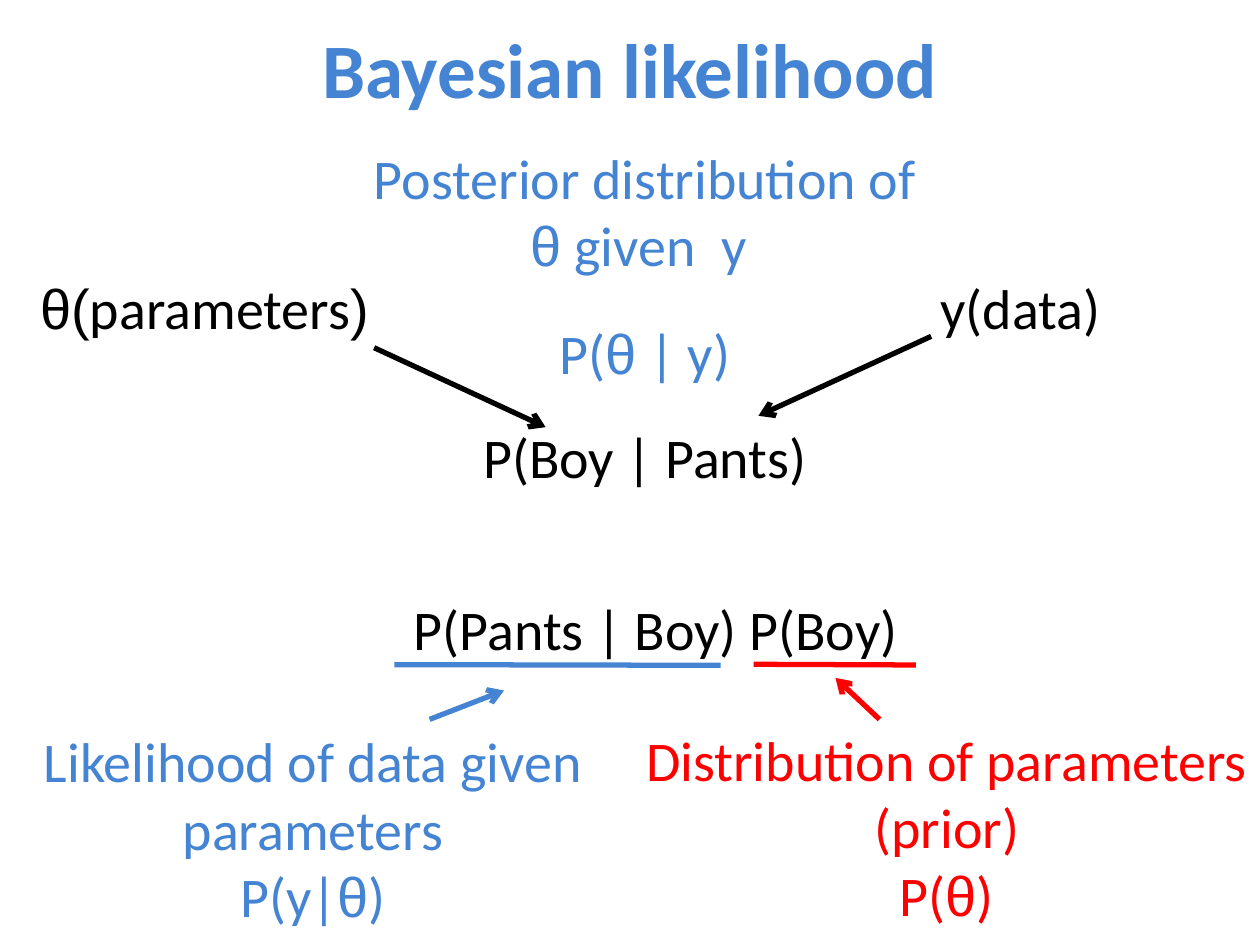
import pptx
import pptx.dml.color
import pptx.enum.shapes
import pptx.enum.text
import pptx.oxml.ns
import pptx.util
from lxml import etree

Pt = pptx.util.Pt
RGBColor = pptx.dml.color.RGBColor
ALIGN = pptx.enum.text.PP_ALIGN
ANCHOR = pptx.enum.text.MSO_ANCHOR

BLACK = RGBColor(0x00, 0x00, 0x00)
BLUE = RGBColor(0x45, 0x84, 0xD3)
RED = RGBColor(0xFF, 0x00, 0x00)


class SlideWriter:
    font = "Calibri"
    symbol_font = "Arial"
    title_size = Pt(44)
    text_size = Pt(32)
    line_width = Pt(3)

    def __init__(self, slide):
        self.slide = slide

    def style(self, paragraph, size, color, align):
        paragraph.alignment = align
        paragraph.font.name = self.font
        paragraph.font.size = size
        paragraph.font.color.rgb = color

    def title(self, text, left, top, width, height):
        title = self.slide.shapes.title
        title.left, title.top = Pt(left), Pt(top)
        title.width, title.height = Pt(width), Pt(height)
        frame = title.text_frame
        frame.text = text
        frame.vertical_anchor = ANCHOR.MIDDLE
        self.style(frame.paragraphs[0], self.title_size, BLUE, ALIGN.CENTER)
        frame.paragraphs[0].font.bold = True

    def text(self, left, top, width, height, color, *lines,
             align=ALIGN.CENTER, wrap=True):
        """Each line is a list of pieces, alternately in the text and symbol font."""
        box = self.slide.shapes.add_textbox(Pt(left), Pt(top), Pt(width), Pt(height))
        frame = box.text_frame
        frame.word_wrap = wrap
        frame.auto_size = pptx.enum.text.MSO_AUTO_SIZE.SHAPE_TO_FIT_TEXT
        for number, pieces in enumerate(lines):
            paragraph = frame.add_paragraph() if number else frame.paragraphs[0]
            self.style(paragraph, self.text_size, color, align)
            for position, piece in enumerate(pieces):
                if piece:
                    run = paragraph.add_run()
                    run.text = piece
                    if position % 2:
                        run.font.name = self.symbol_font

    def line(self, start, end, color, arrow=False):
        connector = self.slide.shapes.add_connector(
            pptx.enum.shapes.MSO_CONNECTOR.STRAIGHT, *map(Pt, start + end))
        connector.line.color.rgb = color
        connector.line.width = self.line_width
        if arrow:
            outline = connector.line._get_or_add_ln()
            etree.SubElement(outline, pptx.oxml.ns.qn("a:tailEnd"), type="arrow")
        properties = connector._element.spPr
        etree.SubElement(properties, pptx.oxml.ns.qn("a:effectLst"))


def main():
    deck = pptx.Presentation()
    deck.slide_width, deck.slide_height = Pt(720), Pt(540)
    writer = SlideWriter(deck.slides.add_slide(deck.slide_layouts[5]))

    writer.title("Bayesian likelihood", 36, 0.7, 648, 76.3)

    writer.text(213.8, 237.6, 309.6, 46, BLACK, ["P(Boy | Pants)"])
    writer.text(193.7, 336.2, 362.2, 46, BLACK, ["P(Pants | Boy) P(Boy)"])
    writer.text(502.6, 152.6, 161.3, 46, BLACK, ["y(data)"])
    writer.text(15.8, 152.6, 210.2, 46, BLACK, ["", "θ(", "parameters", ")"],
                align=ALIGN.LEFT, wrap=False)
    writer.text(-2.2, 411.8, 362.2, 123.8, BLUE,
                ["Likelihood of data given parameters"], ["P(y|", "θ", ")"])
    writer.text(360, 411.1, 362.2, 123.8, RED,
                ["Distribution of parameters (prior)"], ["P(", "θ", ")"])
    writer.text(213.8, 178.6, 309.6, 46, BLUE, ["P(", "θ", " | y)"])
    writer.text(205.2, 78.5, 326.9, 85, BLUE,
                ["Posterior distribution of ", "θ", " given  y "])

    writer.line((532.1, 192.2), (433.4, 237.6), BLACK, arrow=True)
    writer.line((213.8, 198.7), (311.8, 244.1), BLACK, arrow=True)
    writer.line((245.5, 411.1), (288, 394.6), BLUE, arrow=True)
    writer.line((502.6, 411.1), (477.4, 387.4), RED, arrow=True)
    writer.line((225.4, 379.8), (411.8, 380.2), BLUE)
    writer.line((430.6, 379.6), (523.4, 380), RED)

    deck.save("out.pptx")


if __name__ == "__main__":
    main()
